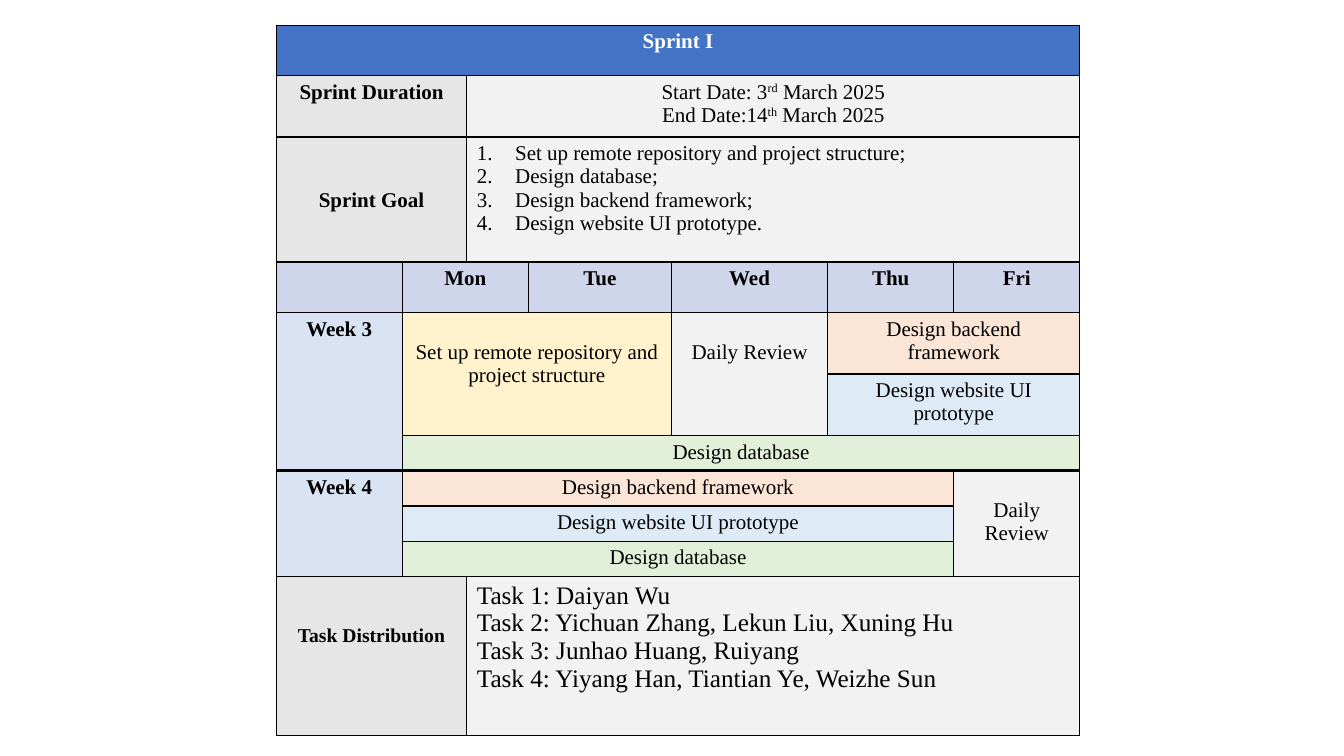
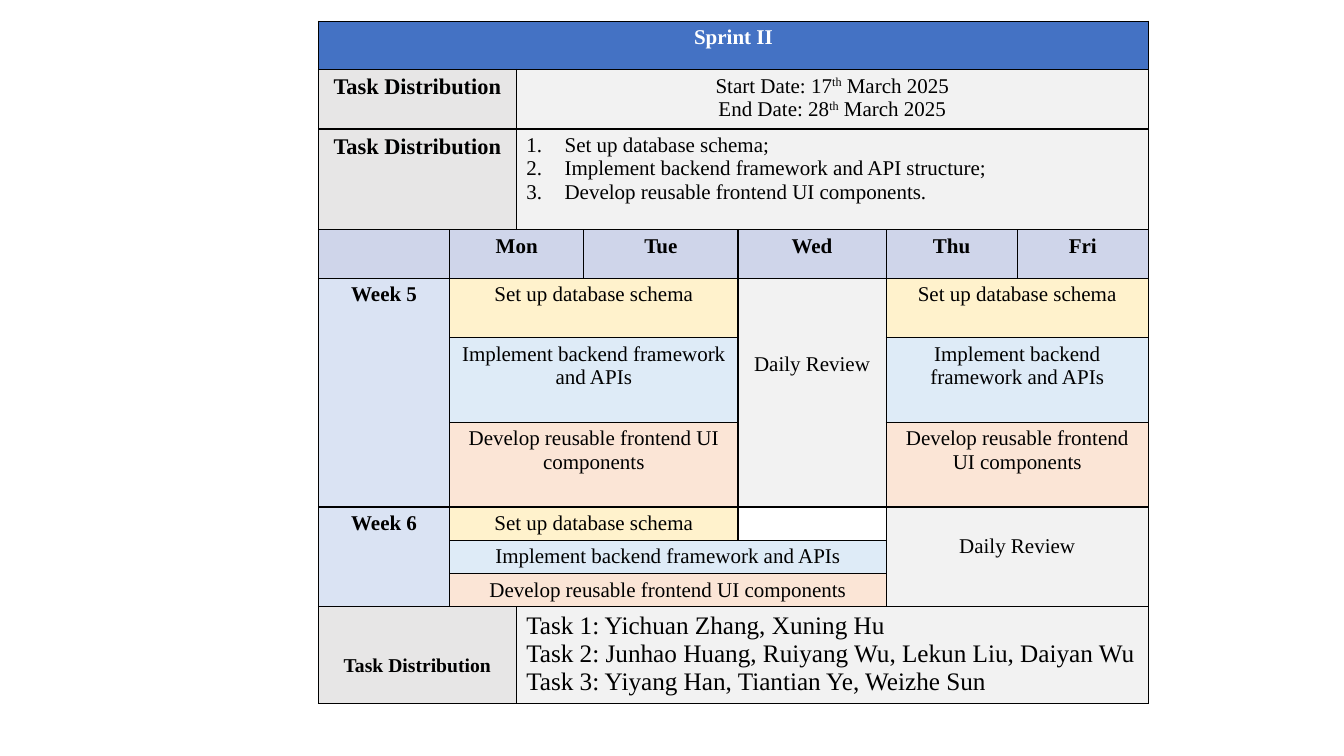
from dataclasses import dataclass

from lxml.etree import SubElement
from pptx import Presentation
from pptx.dml.color import RGBColor as Rgb
from pptx.enum.text import PP_ALIGN as Align
from pptx.oxml.ns import qn
from pptx.util import Inches, Pt


@dataclass(frozen=True)
class Theme:
    font: str = "Times New Roman"
    ink: str = "000000"
    white: str = "FFFFFF"
    banner: str = "4472C4"
    label: str = "E7E6E6"
    plain: str = "F2F2F2"
    weekday: str = "CFD5EA"
    week: str = "DAE3F3"
    yellow: str = "FFF2CC"
    orange: str = "FBE5D6"
    blue: str = "DEEBF7"
    green: str = "E2F0D9"
    body: int = 15
    small: int = 14
    large: int = 18
    thin: float = 1
    thick: float = 2.25
    side_margin: float = 0.1
    edge_margin: float = 0.05
    line_height: float = 1.107
    number_indent: float = 0.38


THEME = Theme()
COLUMNS = 7
WEEK_ROWS = (4, 7)
WEEK_SPAN = 3
LAST_ROW = 10
WEEKDAYS = (("Mon", 1, 2), ("Tue", 3, 1), ("Wed", 4, 1), ("Thu", 5, 1), ("Fri", 6, 1))


@dataclass(frozen=True)
class Block:
    row: int
    column: int
    text: str
    fill: str
    rows: int = 1
    columns: int = 1
    size: int = THEME.body
    color: str = THEME.ink
    bold: bool = False
    align: Align = Align.CENTER
    numbered: bool = False
    lines_above: int = 0


@dataclass(frozen=True)
class Sprint:
    title: str
    left: float
    top: float
    widths: tuple[float, ...]
    heights: tuple[float, ...]
    duration_label: str
    goal_label: str
    label_size: int
    goal_lines_above: int
    dates: str
    goals: str
    weeks: tuple[str, str]
    work: tuple[Block, ...]
    people: str


def label_row(row: int, label: str, label_size: int, lines_above: int,
              detail: str, **detail_format) -> list[Block]:
    return [
        Block(row, 0, label, THEME.label, columns=2, size=label_size,
              bold=True, lines_above=lines_above),
        Block(row, 2, detail, THEME.plain, columns=COLUMNS - 2, **detail_format),
    ]


def sprint_blocks(sprint: Sprint) -> list[Block]:
    return [
        Block(0, 0, sprint.title, THEME.banner, columns=COLUMNS,
              color=THEME.white, bold=True),
        *label_row(1, sprint.duration_label, sprint.label_size, 0, sprint.dates),
        *label_row(2, sprint.goal_label, sprint.label_size, sprint.goal_lines_above,
                   sprint.goals, align=Align.LEFT, numbered=True),
        Block(3, 0, "", THEME.weekday),
        *(Block(3, column, day, THEME.weekday, columns=span, bold=True)
          for day, column, span in WEEKDAYS),
        *(Block(row, 0, week, THEME.week, rows=WEEK_SPAN, bold=True)
          for row, week in zip(WEEK_ROWS, sprint.weeks)),
        *sprint.work,
        *label_row(LAST_ROW, "Task Distribution", THEME.small, 2,
                   sprint.people, size=THEME.large, align=Align.LEFT),
    ]


def add_borders(cell, top: float, bottom: float) -> None:
    properties = cell._tc.get_or_add_tcPr()
    for side, width in (("L", THEME.thin), ("R", THEME.thin), ("T", top), ("B", bottom)):
        line = SubElement(properties, qn(f"a:ln{side}"), w=str(Pt(width)))
        fill = SubElement(line, qn("a:solidFill"))
        SubElement(fill, qn("a:srgbClr"), val=THEME.ink)


def add_number(paragraph) -> None:
    properties = paragraph._p.get_or_add_pPr()
    indent = Inches(THEME.number_indent)
    properties.set("marL", str(indent))
    properties.set("indent", str(-indent))
    SubElement(properties, qn("a:buFont"), typeface="+mj-lt")
    SubElement(properties, qn("a:buAutoNum"), type="arabicPeriod")


def write_text(frame, text: str, *, size: int, color: str, bold: bool,
               align: Align, numbered: bool) -> None:
    for index, line in enumerate(text.split("\n")):
        paragraph = frame.add_paragraph() if index else frame.paragraphs[0]
        paragraph.alignment = align
        if numbered:
            add_number(paragraph)
        for part, piece in enumerate(line.split("^")):
            run = paragraph.add_run()
            run.text = piece
            run.font.name = THEME.font
            run.font.size = Pt(size)
            run.font.bold = bold
            run.font.color.rgb = Rgb.from_string(color)
            if part % 2:
                run._r.get_or_add_rPr().set("baseline", "30000")


def draw_block(table, block: Block) -> None:
    end_row = block.row + block.rows
    end_column = block.column + block.columns
    top = THEME.thick if block.row == WEEK_ROWS[1] else THEME.thin
    bottom = THEME.thick if end_row == WEEK_ROWS[1] else THEME.thin
    for row in range(block.row, end_row):
        for column in range(block.column, end_column):
            cell = table.cell(row, column)
            add_borders(cell, top if row == block.row else THEME.thin,
                        bottom if row == end_row - 1 else THEME.thin)
            cell.fill.solid()
            cell.fill.fore_color.rgb = Rgb.from_string(block.fill)
            cell.margin_left = cell.margin_right = Inches(THEME.side_margin)
            cell.margin_top = cell.margin_bottom = 0
    origin = table.cell(block.row, block.column)
    if block.rows * block.columns > 1:
        origin.merge(table.cell(end_row - 1, end_column - 1))
    if block.text:
        gap = Pt(block.lines_above * block.size * THEME.line_height)
        origin.margin_top = Inches(THEME.edge_margin) + gap
        origin.margin_bottom = Inches(THEME.edge_margin)
        write_text(origin.text_frame, block.text, size=block.size, color=block.color,
                   bold=block.bold, align=block.align, numbered=block.numbered)


def draw_sprint(deck, sprint: Sprint) -> None:
    slide = deck.slides.add_slide(deck.slide_layouts[6])
    table = slide.shapes.add_table(
        len(sprint.heights), COLUMNS, Inches(sprint.left), Inches(sprint.top),
        Inches(sum(sprint.widths)), Inches(sum(sprint.heights))).table
    table.first_row = table.horz_banding = False
    for column, width in zip(table.columns, sprint.widths):
        column.width = Inches(width)
    for row, height in zip(table.rows, sprint.heights):
        row.height = Inches(height)
    for block in sprint_blocks(sprint):
        draw_block(table, block)


BACKEND = "Design backend framework"
PROTOTYPE = "Design website UI prototype"
DATABASE = "Design database"
SCHEMA = "Set up database schema"
APIS = "Implement backend framework and APIs"
COMPONENTS = "Develop reusable frontend UI components"
REVIEW = "Daily Review"

SPRINTS = (
    Sprint(
        title="Sprint I", left=2.74, top=0.25,
        widths=(1.25, 0.64, 0.61, 1.42, 1.55, 1.25, 1.25),
        heights=(0.5, 0.61, 1.24, 0.5, 0.61, 0.61, *[0.35] * 4, 1.58),
        duration_label="Sprint Duration", goal_label="Sprint Goal",
        label_size=THEME.body, goal_lines_above=2,
        dates="Start Date: 3^rd^ March 2025\nEnd Date:14^th^ March 2025",
        goals="Set up remote repository and project structure;\nDesign database;\n"
              "Design backend framework;\nDesign website UI prototype.",
        weeks=("Week 3", "Week 4"),
        work=(
            Block(4, 1, "Set up remote repository and project structure",
                  THEME.yellow, rows=2, columns=3, lines_above=1),
            Block(4, 4, REVIEW, THEME.plain, rows=2, lines_above=1),
            Block(4, 5, BACKEND, THEME.orange, columns=2),
            Block(5, 5, PROTOTYPE, THEME.blue, columns=2),
            Block(6, 1, DATABASE, THEME.green, columns=6),
            Block(7, 1, BACKEND, THEME.orange, columns=5),
            Block(8, 1, PROTOTYPE, THEME.blue, columns=5),
            Block(9, 1, DATABASE, THEME.green, columns=5),
            Block(7, 6, REVIEW, THEME.plain, rows=3, lines_above=1),
        ),
        people="Task 1: Daiyan Wu\nTask 2: Yichuan Zhang, Lekun Liu, Xuning Hu\n"
               "Task 3: Junhao Huang, Ruiyang\n"
               "Task 4: Yiyang Han, Tiantian Ye, Weizhe Sun",
    ),
    Sprint(
        title="Sprint II", left=3.16, top=0.21,
        widths=(1.3, 0.66, 0.67, 1.53, 1.47, 1.3, 1.3),
        heights=(0.48, 0.59, 1, 0.48, 0.59, 0.84, 0.84, *[0.33] * 3, 0.96),
        duration_label="Task Distribution", goal_label="Task Distribution",
        label_size=16, goal_lines_above=0,
        dates="Start Date: 17^th^ March 2025\nEnd Date: 28^th^ March 2025",
        goals="Set up database schema;\nImplement backend framework and API structure;\n"
              "Develop reusable frontend UI components.",
        weeks=("Week 5", "Week 6"),
        work=(
            *(Block(4 + step, column, task, fill, columns=span)
              for column, span in ((1, 3), (5, 2))
              for step, (task, fill) in enumerate((
                  (SCHEMA, THEME.yellow), (APIS, THEME.blue), (COMPONENTS, THEME.orange)))),
            Block(4, 4, REVIEW, THEME.plain, rows=3, lines_above=3),
            Block(7, 1, SCHEMA, THEME.yellow, columns=3),
            Block(7, 4, "", THEME.white),
            Block(8, 1, APIS, THEME.blue, columns=4),
            Block(9, 1, COMPONENTS, THEME.orange, columns=4),
            Block(7, 5, REVIEW, THEME.plain, rows=3, columns=2, lines_above=1),
        ),
        people="Task 1: Yichuan Zhang, Xuning Hu\n"
               "Task 2: Junhao Huang, Ruiyang Wu, Lekun Liu, Daiyan Wu\n"
               "Task 3: Yiyang Han, Tiantian Ye, Weizhe Sun",
    ),
)


def main() -> None:
    deck = Presentation()
    deck.slide_width, deck.slide_height = Inches(13.33), Inches(7.5)
    for sprint in SPRINTS:
        draw_sprint(deck, sprint)
    deck.save("out.pptx")


if __name__ == "__main__":
    main()
